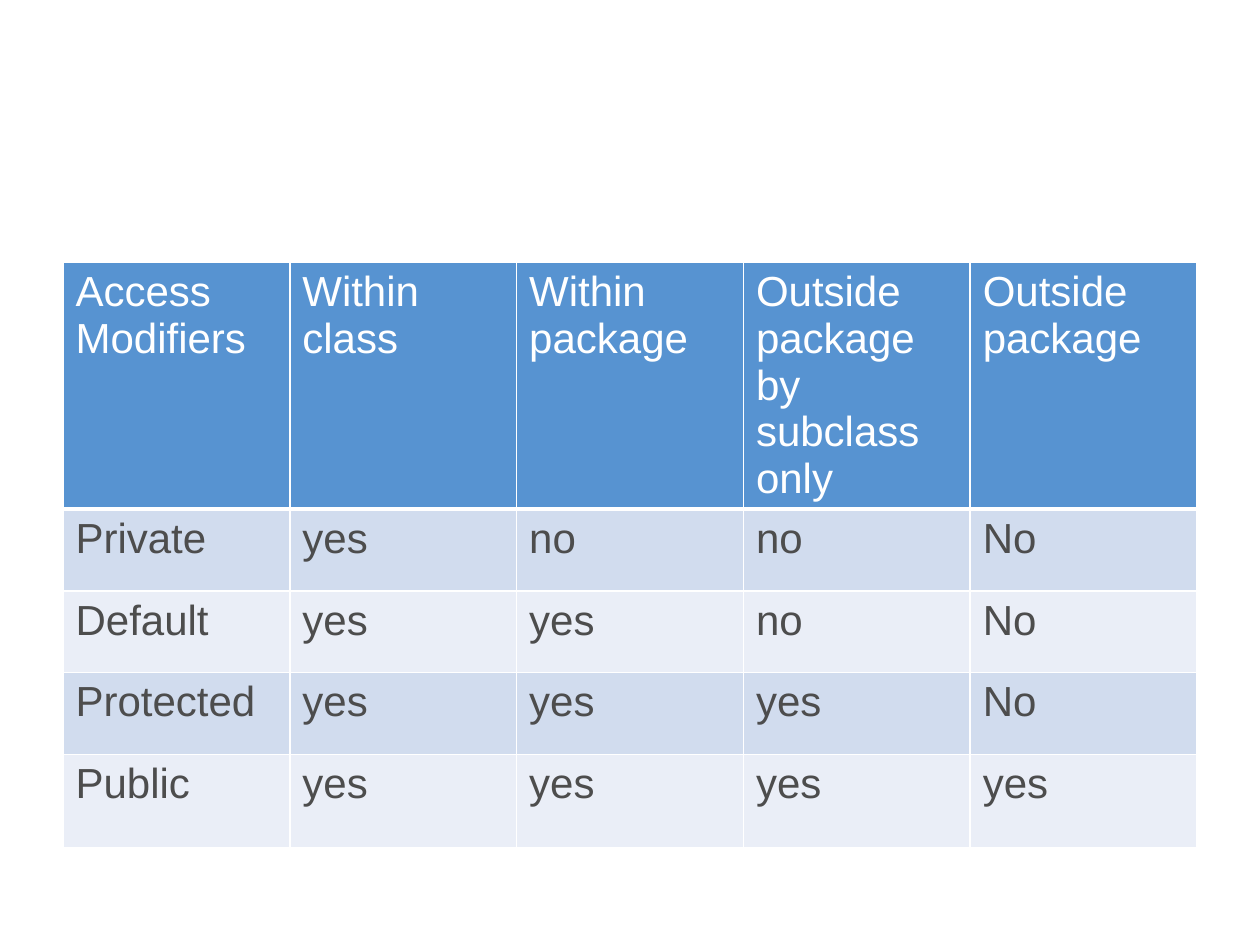
from lxml import etree
from pptx import Presentation
from pptx import util as u
from pptx.dml.color import RGBColor
from pptx.oxml.ns import qn


def color(hex_code):
    return RGBColor.from_string(hex_code)


def set_border(cell, position, side, points):
    line = etree.Element(qn(f"a:ln{side}"), w=str(u.Pt(points)))
    fill = etree.SubElement(line, qn("a:solidFill"))
    etree.SubElement(fill, qn("a:srgbClr"), val="FFFFFF")
    cell._tc.get_or_add_tcPr().insert(position, line)


deck = Presentation()
deck.slide_width, deck.slide_height = u.Inches(10), u.Inches(7.5)
page = deck.slides.add_slide(deck.slide_layouts[6])

# Table content and geometry
rows = [
    ["Access Modifiers", "Within class", "Within package",
     "Outside package by subclass only", "Outside package"],
    ["Private", "yes", "no", "no", "No"],
    ["Default", "yes", "yes", "no", "No"],
    ["Protected", "yes", "yes", "yes", "No"],
    ["Public", "yes", "yes", "yes", "yes"],
]
row_heights = [1.48, 0.65, 0.65, 0.65, 0.74]
table = page.shapes.add_table(
    len(rows), len(rows[0]),
    u.Inches(0.5), u.Inches(2.08), u.Inches(9), u.Inches(sum(row_heights)),
).table
for column in table.columns:
    column.width = u.Inches(1.8)

# Header row, then alternating bands
for row_index, (values, height) in enumerate(zip(rows, row_heights)):
    is_header = row_index == 0
    table.rows[row_index].height = u.Inches(height)
    band = "5793D1" if is_header else ("EAEEF7", "D1DCEE")[row_index % 2]
    for column_index, value in enumerate(values):
        cell = table.cell(row_index, column_index)
        cell.text = value
        cell.fill.solid()
        cell.fill.fore_color.rgb = color(band)
        font = cell.text_frame.paragraphs[0].font
        font.name, font.size, font.bold = "Arial", u.Pt(24), False
        font.color.rgb = color("FFFFFF" if is_header else "4D4D4D")
        for position, side in enumerate("LRTB"):
            thick = is_header and side == "B"
            set_border(cell, position, side, 3 if thick else 1)

deck.save("out.pptx")
